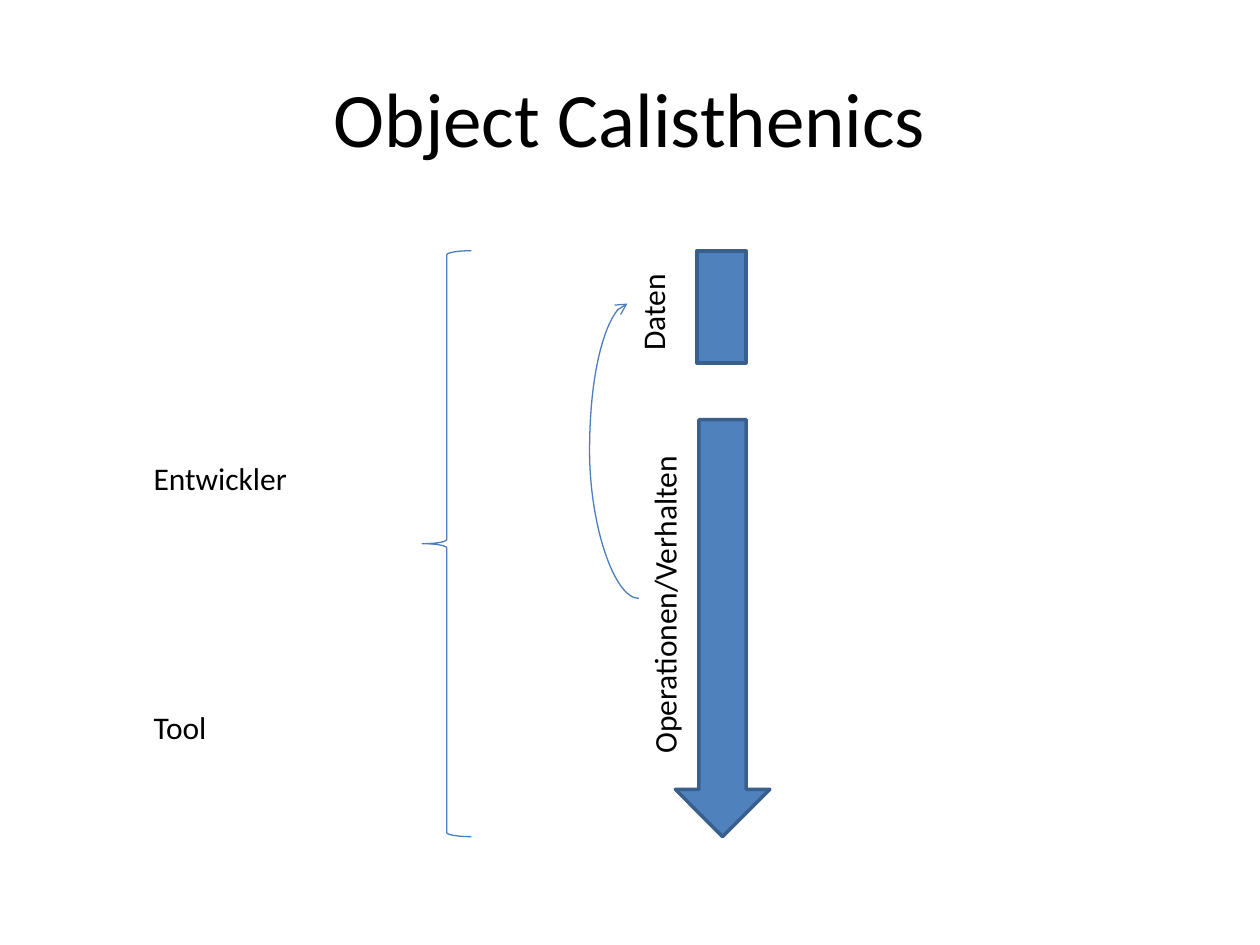
from dataclasses import dataclass
from typing import Optional

from lxml.etree import SubElement
from pptx import Presentation
from pptx.dml.color import RGBColor
from pptx.enum.shapes import MSO_CONNECTOR, MSO_SHAPE
from pptx.enum.text import MSO_ANCHOR, MSO_AUTO_SIZE, PP_ALIGN
from pptx.oxml.ns import qn
from pptx.util import Inches, Pt

BLACK = RGBColor(0x00, 0x00, 0x00)
BLUE = RGBColor(0x4F, 0x81, 0xBD)
DARK_BLUE = RGBColor(0x3A, 0x5F, 0x8C)
LINE_BLUE = RGBColor(0x4B, 0x7E, 0xBC)
FONT = "Calibri"
TOP, BOTTOM = 1.99, 6.64


@dataclass
class Label:
    text: str
    left: float
    top: float
    width: float
    rotation: int = 0


@dataclass
class Block:
    kind: MSO_SHAPE
    left: float
    top: float
    width: float
    height: float
    line: RGBColor
    line_width: float
    fill: Optional[RGBColor] = None


BLOCKS = [
    Block(MSO_SHAPE.RECTANGLE, 5.53, TOP, 0.39, 0.89, DARK_BLUE, 2, BLUE),
    Block(MSO_SHAPE.DOWN_ARROW, 5.36, 3.33, 0.75, BOTTOM - 3.33, DARK_BLUE, 2, BLUE),
    Block(MSO_SHAPE.LEFT_BRACE, 3.35, TOP, 0.39, BOTTOM - TOP, LINE_BLUE, 0.75),
]
LABELS = [
    Label("Operationen/Verhalten", 3.93, 4.54, 2.68, 270),
    Label("Daten", 4.71, 2.21, 0.94, 270),
    Label("Entwickler", 1.12, 3.59, 1.89),
    Label("Tool", 1.12, 5.57, 1.89),
]


def style_text(p, size: float, align: PP_ALIGN) -> None:
    p.alignment = align
    p.font.name = FONT
    p.font.size = Pt(size)
    p.font.color.rgb = BLACK


def add_title(slide, text: str) -> None:
    title = slide.shapes.title
    title.left, title.top = Inches(0.5), Inches(0.3)
    title.width, title.height = Inches(9), Inches(1.25)
    tf = title.text_frame
    tf.text = text
    tf.vertical_anchor = MSO_ANCHOR.MIDDLE
    style_text(tf.paragraphs[0], 44, PP_ALIGN.CENTER)


def add_block(slide, block: Block) -> None:
    sp = slide.shapes.add_shape(block.kind, Inches(block.left), Inches(block.top),
                                Inches(block.width), Inches(block.height))
    sp.shadow.inherit = False
    if block.fill is None:
        sp.fill.background()
    else:
        sp.fill.solid()
        sp.fill.fore_color.rgb = block.fill
    sp.line.color.rgb = block.line
    sp.line.width = Pt(block.line_width)


def add_label(slide, label: Label) -> None:
    sp = slide.shapes.add_textbox(Inches(label.left), Inches(label.top),
                                  Inches(label.width), Inches(0.4))
    sp.rotation = label.rotation
    tf = sp.text_frame
    tf.word_wrap = True
    tf.auto_size = MSO_AUTO_SIZE.SHAPE_TO_FIT_TEXT
    tf.text = label.text
    style_text(tf.paragraphs[0], 18, PP_ALIGN.LEFT)


def add_curved_arrow(slide, x1: float, y1: float, x2: float, y2: float,
                     bend_x: float) -> None:
    """Draw a curved arrow whose bulge reaches bend_x."""
    line = slide.shapes.add_connector(MSO_CONNECTOR.CURVE, Inches(x1), Inches(y1),
                                      Inches(x2), Inches(y2))
    line.line.color.rgb = LINE_BLUE
    line.line.width = Pt(0.75)
    sp_pr = line._element.spPr
    guides = sp_pr.find(qn("a:prstGeom")).get_or_add_avLst()
    bend = round((bend_x - x1) / (x2 - x1) * 100000)
    SubElement(guides, qn("a:gd"), name="adj1", fmla=f"val {bend}")
    SubElement(sp_pr.find(qn("a:ln")), qn("a:tailEnd"), type="arrow")
    SubElement(sp_pr, qn("a:effectLst"))


def main() -> None:
    prs = Presentation()
    prs.slide_width, prs.slide_height = Inches(10), Inches(7.5)
    slide = prs.slides.add_slide(prs.slide_layouts[5])
    add_title(slide, "Object Calisthenics")
    for block in BLOCKS:
        add_block(slide, block)
    for label in LABELS:
        add_label(slide, label)
    add_curved_arrow(slide, 5.07, 4.75, 4.98, 2.41, 4.68)
    prs.save("out.pptx")


if __name__ == "__main__":
    main()
